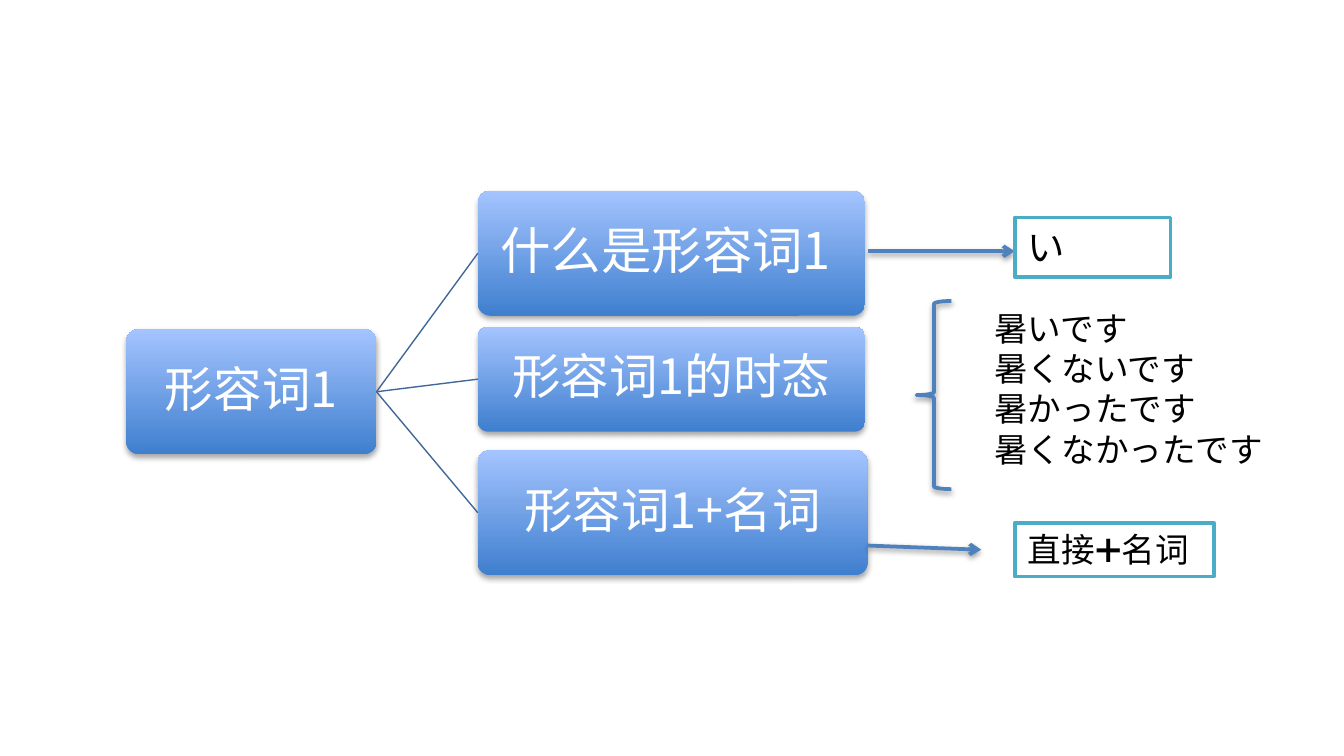
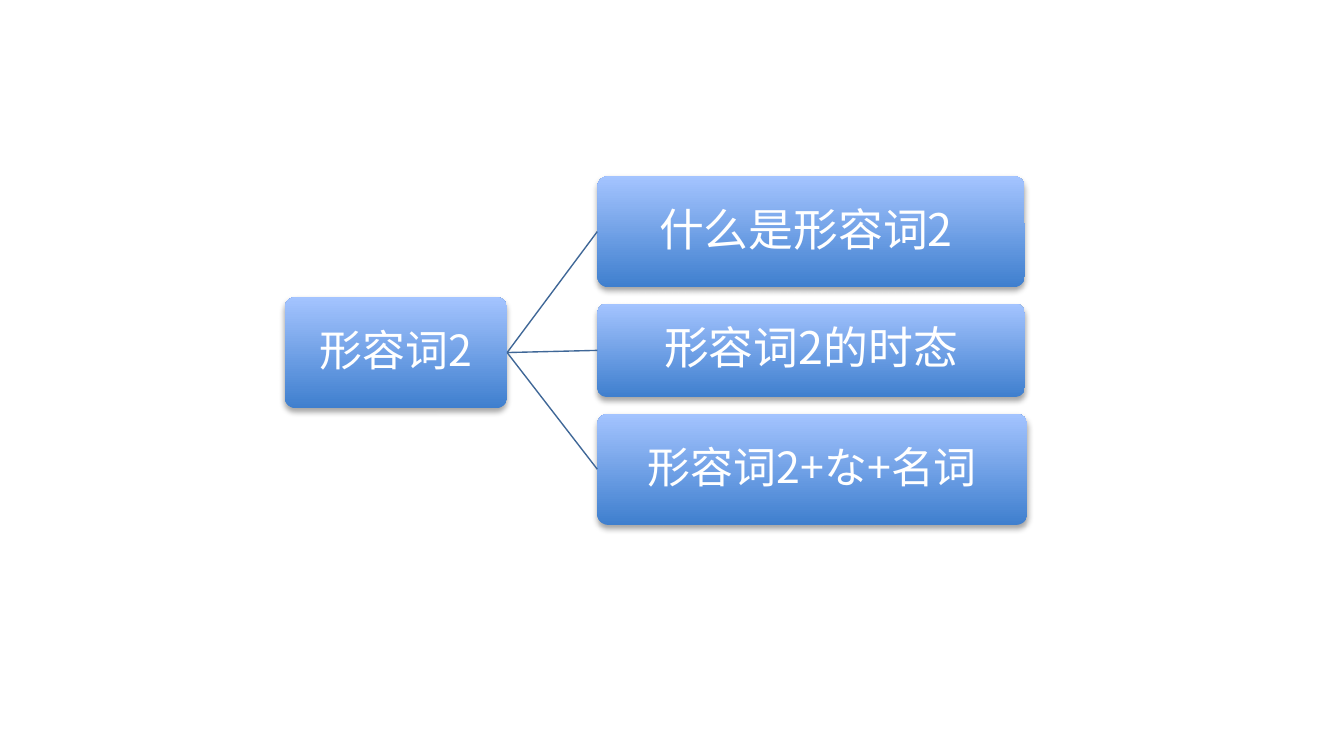
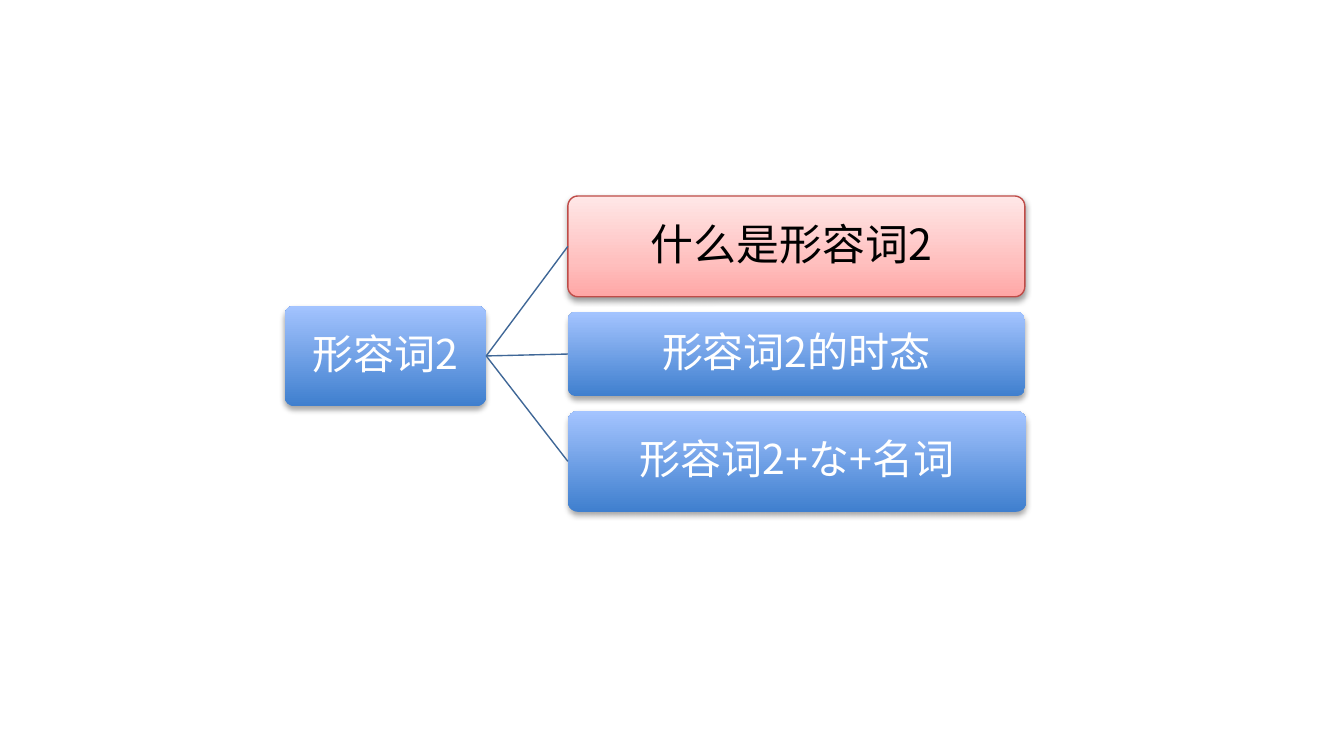
"""Build three slides of branching diagrams about Japanese adjectives."""
import dataclasses

import lxml.etree
import pptx
import pptx.dml.color
import pptx.enum.shapes
import pptx.enum.text
import pptx.oxml.ns
import pptx.util

Pt = pptx.util.Pt
SHAPES = pptx.enum.shapes.MSO_SHAPE
ANCHOR = pptx.enum.text.MSO_ANCHOR
ALIGN = pptx.enum.text.PP_ALIGN


@dataclasses.dataclass(frozen=True)
class Theme:
    font: str = "Noto Sans CJK SC"
    white: str = "FFFFFF"
    black: str = "000000"
    branch_line: str = "3F6797"
    arrow: str = "4F81BD"
    note_border: str = "4BACC6"
    blue: tuple = ((0, "3F7FCE"), (100, "A4C4FF"))
    pink: tuple = ((0, "FFA6A5"), (35, "FFC0BF"), (100, "FFE7E7"))
    pink_border: str = "BF4C48"
    thin: float = 0.75
    thick: float = 2
    node_shadow: tuple = (35, 1.8)
    strong_shadow: tuple = (38, 1.6)
    note_size: int = 18
    kana_size: int = 20


THEME = Theme()

TREES = [
    {"root": "形容词1", "size": 26, "left": 67.7, "top": 176.4, "height": 67,
     "branches": [("什么是形容词1 ", 27, 102.2, 207.4),
                  ("形容词1的时态", 26, 175, 207.4),
                  ("形容词1+名词", 26, 241.2, 208.8)]},
    {"root": "形容词2", "size": 23, "left": 152.5, "top": 159.1, "height": 59.6,
     "branches": [("什么是形容词2 ", 24, 94.3, 229),
                  ("形容词2的时态", 24, 162.7, 229),
                  ("形容词2+な+名词", 23, 221.6, 230.4)]},
    {"root": "形容词2", "size": 22, "left": 152.5, "top": 163.7, "height": 54,
     "highlight": 0,
     "branches": [("什么是形容词2 ", 23, 105, 244.8),
                  ("形容词2的时态", 22, 167, 244.8),
                  ("形容词2+な+名词", 22, 220.2, 245.5)]},
]
ROOT_RATIO = 2
GAP_RATIO = 0.81
MIDDLE_RATIO = 0.84

NOTES = [("い", THEME.kana_size, (543.6, 116.6, 83.5, 31.7)),
         ("直接➕名词", THEME.note_size, (543.6, 280.1, 106.6, 28.8))]
TENSES = ["暑いです", "暑くないです", "暑かったです", "暑くなかったです"]
TENSE_BOX = (525.6, 161.3, 161.3, 94.3)
BRACE_BOX = (491, 161.3, 18.7, 100.8)
ARROWS = [(465.1, 134.6, 543.6, 134.6), (465.1, 292.3, 525.6, 294.5)]


def points(values):
    return [Pt(value) for value in values]


def rgb(code):
    return pptx.dml.color.RGBColor.from_string(code)


def add_child(parent, tag, **attributes):
    child = lxml.etree.SubElement(parent, pptx.oxml.ns.qn(tag))
    for name, value in attributes.items():
        child.set(name, str(value))
    return child


def set_line(shape, color, width):
    shape.line.color.rgb = rgb(color)
    shape.line.width = Pt(width)


def set_effects(shape, shadow=None):
    effects = add_child(shape._element.spPr, "a:effectLst")
    if shadow:
        opacity, distance = shadow
        outer = add_child(effects, "a:outerShdw", blurRad=Pt(3.1), dist=Pt(distance),
                          dir=5400000, rotWithShape=0)
        color = add_child(outer, "a:srgbClr", val=THEME.black)
        add_child(color, "a:alpha", val=opacity * 1000)


def set_gradient(shape, stops):
    shape.fill.gradient()
    shape.fill.gradient_angle = 90
    stop_list = shape._element.spPr.find(".//" + pptx.oxml.ns.qn("a:gsLst"))
    for stop in list(stop_list):
        stop_list.remove(stop)
    for position, color in stops:
        add_child(add_child(stop_list, "a:gs", pos=position * 1000), "a:srgbClr", val=color)


def write(box, text, size, color=THEME.black, align=ALIGN.LEFT, anchor=ANCHOR.TOP,
          spacing=1.0, margin=None, grow=False):
    frame = box.text_frame
    frame.word_wrap = True
    frame.vertical_anchor = anchor
    if grow:
        frame.auto_size = pptx.enum.text.MSO_AUTO_SIZE.SHAPE_TO_FIT_TEXT
    if margin is not None:
        frame.margin_left = frame.margin_right = Pt(margin)
        frame.margin_top = frame.margin_bottom = Pt(margin)
    frame.text = text
    for para in frame.paragraphs:
        para.alignment = align
        para.line_spacing = spacing
        for span in para.runs:
            span.font.size = Pt(size)
            span.font.name = THEME.font
            span.font.color.rgb = rgb(color)
            add_child(span.font._element, "a:ea", typeface=THEME.font)


def add_node(page, text, size, bounds, highlight=False):
    node = page.shapes.add_shape(SHAPES.ROUNDED_RECTANGLE, *points(bounds))
    node.adjustments[0] = 0.1
    set_gradient(node, THEME.pink if highlight else THEME.blue)
    if highlight:
        set_line(node, THEME.pink_border, THEME.thin)
    else:
        node.line.fill.background()
    set_effects(node, THEME.strong_shadow if highlight else THEME.node_shadow)
    write(node, text, size, color=THEME.black if highlight else THEME.white,
          align=ALIGN.CENTER, anchor=ANCHOR.MIDDLE, spacing=0.9, margin=3.4)
    return node


def add_line(page, ends, color, width):
    line = page.shapes.add_connector(pptx.enum.shapes.MSO_CONNECTOR.STRAIGHT, *points(ends))
    set_line(line, color, width)
    return line


def add_tree(page, tree):
    left, top, height = tree["left"], tree["top"], tree["height"]
    root_right = left + ROOT_RATIO * height
    branch_left = root_right + GAP_RATIO * height
    root = add_node(page, tree["root"], tree["size"], (left, top, ROOT_RATIO * height, height))
    for index, (text, size, branch_top, width) in enumerate(tree["branches"]):
        branch_height = height * (MIDDLE_RATIO if index == 1 else 1)
        branch = add_node(page, text, size, (branch_left, branch_top, width, branch_height),
                          highlight=index == tree.get("highlight"))
        ends = (root_right, top + height / 2, branch_left, branch_top + branch_height / 2)
        line = add_line(page, ends, THEME.branch_line, THEME.thin)
        line.begin_connect(root, 3)
        line.end_connect(branch, 1)
        set_effects(line)


def add_examples(page):
    for ends in ARROWS:
        arrow = add_line(page, ends, THEME.arrow, THEME.thick)
        add_child(arrow.line._get_or_add_ln(), "a:tailEnd", type="arrow")
        set_effects(arrow, THEME.strong_shadow)
    for text, size, bounds in NOTES:
        box = page.shapes.add_shape(SHAPES.RECTANGLE, *points(bounds))
        box.fill.solid()
        box.fill.fore_color.rgb = rgb(THEME.white)
        set_line(box, THEME.note_border, THEME.thick)
        set_effects(box)
        write(box, text, size, grow=True)
    brace = page.shapes.add_shape(SHAPES.LEFT_BRACE, *points(BRACE_BOX))
    brace.fill.background()
    set_line(brace, THEME.arrow, THEME.thick)
    set_effects(brace, THEME.strong_shadow)
    tenses = page.shapes.add_textbox(*points(TENSE_BOX))
    write(tenses, "\n".join(TENSES), THEME.note_size, grow=True)


def main():
    deck = pptx.Presentation()
    deck.slide_width, deck.slide_height = Pt(720), Pt(405)
    pages = [deck.slides.add_slide(deck.slide_layouts[6]) for tree in TREES]
    for page, tree in zip(pages, TREES):
        add_tree(page, tree)
    add_examples(pages[0])
    deck.save("out.pptx")


if __name__ == "__main__":
    main()
